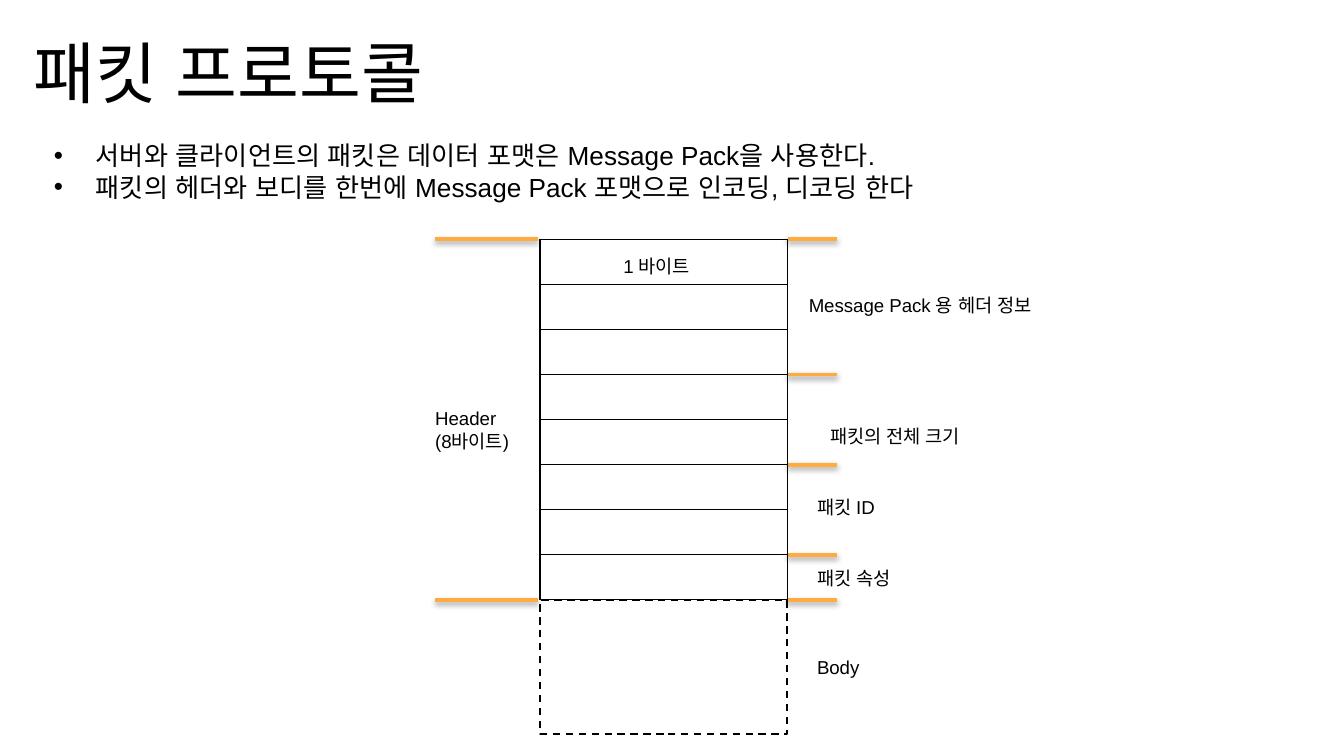
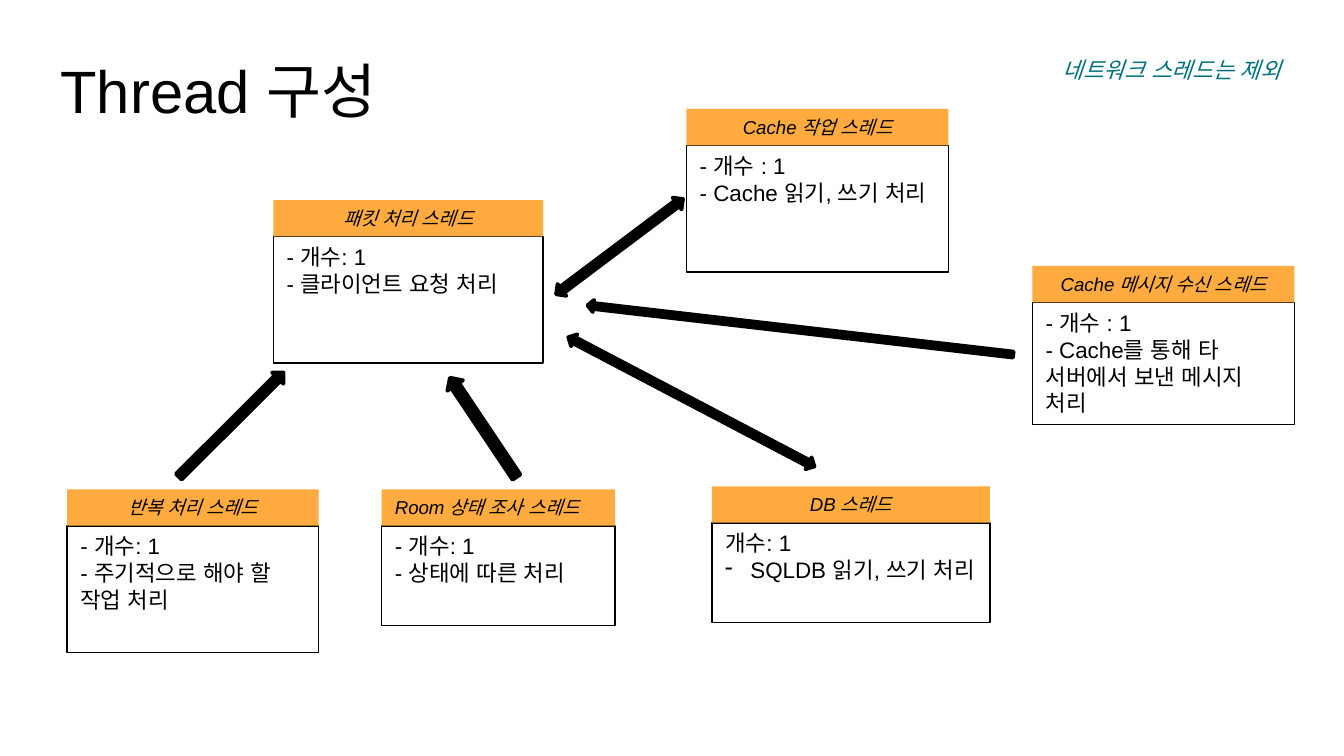
from typing import NamedTuple

from pptx import Presentation
from pptx.dml.color import RGBColor
from pptx.enum.dml import MSO_LINE
from pptx.enum.shapes import MSO_CONNECTOR, MSO_SHAPE as SHAPE
from pptx.enum.text import MSO_ANCHOR, MSO_AUTO_SIZE, PP_ALIGN as ALIGN
from pptx.oxml import parse_xml
from pptx.oxml.ns import nsdecls
from pptx.util import Pt

BLACK, ORANGE, TEAL = "000000", "FFAB40", "00717D"
FONT = "Arial"
FRAME = dict(word_wrap=True, auto_size=MSO_AUTO_SIZE.NONE,
             vertical_anchor=MSO_ANCHOR.TOP,
             margin_left=Pt(7.2), margin_right=Pt(7.2),
             margin_top=Pt(3.6), margin_bottom=Pt(3.6))
SHADOW = (f'<a:effectLst {nsdecls("a")}>'
          '<a:outerShdw blurRad="39370" dist="20320" dir="5400000" rotWithShape="0">'
          '<a:srgbClr val="000000"><a:alpha val="38000"/></a:srgbClr>'
          '</a:outerShdw></a:effectLst>')


class Box(NamedTuple):
    left: float
    top: float
    width: float
    height: float


class Para(NamedTuple):
    text: str
    bullet: str = ""
    indent: float = 0


class Label(NamedTuple):
    text: str
    box: Box


class Card(NamedTuple):
    title: str
    left: float
    top: float
    width: float
    body_height: float
    lines: list[Para]
    title_align: ALIGN = ALIGN.CENTER


class Arrow(NamedTuple):
    kind: SHAPE
    box: Box
    rotation: float


def rgb(color: str) -> RGBColor:
    return RGBColor.from_string(color)


def pts(box: Box) -> list[Pt]:
    return [Pt(v) for v in box]


def place(s, box: Box) -> None:
    s.left, s.top, s.width, s.height = pts(box)


def write(tf, paras: list[Para], size: float, color: str = BLACK,
          italic: bool = False, align: ALIGN = ALIGN.LEFT) -> None:
    for key, value in FRAME.items():
        setattr(tf, key, value)
    for i, para in enumerate(paras):
        p = tf.paragraphs[0] if i == 0 else tf.add_paragraph()
        p.alignment, p.space_before = align, Pt(0)
        if para.bullet:
            add_bullet(p, para)
        r = p.add_run()
        r.text = para.text
        for key, value in dict(name=FONT, size=Pt(size), italic=italic).items():
            setattr(r.font, key, value)
        r.font.color.rgb = rgb(color)
        r.font._element.append(parse_xml(f'<a:ea {nsdecls("a")} typeface="{FONT}"/>'))


def add_bullet(p, para: Para) -> None:
    pPr = p._p.get_or_add_pPr()
    pPr.set("marL", str(int(Pt(para.indent))))
    pPr.set("indent", str(-int(Pt(para.indent))))
    ns = nsdecls("a")
    pPr.append(parse_xml(f'<a:buClr {ns}><a:srgbClr val="{BLACK}"/></a:buClr>'))
    pPr.append(parse_xml(f'<a:buChar {ns} char="{para.bullet}"/>'))


def add_titled_slide(prs, layout: int, title: str, box: Box, size: float):
    slide = prs.slides.add_slide(prs.slide_layouts[layout])
    place(slide.shapes.title, box)
    write(slide.shapes.title.text_frame, [Para(title)], size)
    return slide


def add_label(slide, label: Label, size: float = 10, **style) -> None:
    s = slide.shapes.add_textbox(*pts(label.box))
    write(s.text_frame, [Para(label.text)], size, **style)


def add_shape(shapes, kind: SHAPE, box: Box, fill: str = "", line: str = "",
              weight: float = 1):
    s = shapes.add_shape(kind, *pts(box))
    s.shadow.inherit = False
    for part, color in ((s.fill, fill), (s.line.fill, line)):
        if color:
            part.solid()
            part.fore_color.rgb = rgb(color)
        else:
            part.background()
    if line:
        s.line.width = Pt(weight)
    return s


def add_tick(slide, x1: float, x2: float, y: float) -> None:
    c = slide.shapes.add_connector(MSO_CONNECTOR.STRAIGHT, Pt(x1), Pt(y), Pt(x2), Pt(y))
    c.line.color.rgb = rgb(ORANGE)
    c.line.width = Pt(2)
    c._element.spPr.append(parse_xml(SHADOW))


def add_byte_table(slide, box: Box, rows: int) -> None:
    table = slide.shapes.add_table(rows, 1, *pts(box)).table
    table.first_row = table.horz_banding = False
    for row in table.rows:
        row.height = Pt(box.height / rows)
        cell = row.cells[0]
        cell.margin_top = cell.margin_bottom = Pt(0)
        tcPr = cell._tc.get_or_add_tcPr()
        for side in ("lnL", "lnR", "lnT", "lnB"):
            tcPr.append(parse_xml(
                f'<a:{side} {nsdecls("a")} w="12700"><a:solidFill>'
                f'<a:srgbClr val="{BLACK}"/></a:solidFill></a:{side}>'))
        cell.fill.background()


def add_card(slide, card: Card) -> None:
    group = slide.shapes.add_group_shape()
    body = add_shape(group.shapes, SHAPE.RECTANGLE,
                     Box(card.left, card.top + HEAD_H, card.width, card.body_height),
                     line=BLACK, weight=0.75)
    write(body.text_frame, card.lines, 12)
    head = add_shape(group.shapes, SHAPE.RECTANGLE,
                     Box(card.left, card.top, card.width, HEAD_H), fill=ORANGE)
    write(head.text_frame, [Para(card.title)], 10, italic=True, align=card.title_align)


# Packet layout
ROWS, ROW_H = 8, 24.15
PACKET = Box(289.4, 128.2, 132.5, ROWS * ROW_H)
PACKET_RIGHT = PACKET.left + PACKET.width
PACKET_BOTTOM = PACKET.top + PACKET.height
FIELD_EDGES = (0, 3, 5, 7, 8)
HEADER_EDGES = (0, 8)
PACKET_POINTS = [
    "서버와 클라이언트의 패킷은 데이터 포맷은 Message Pack을 사용한다.",
    "패킷의 헤더와 보디를 한번에 Message Pack 포맷으로 인코딩, 디코딩 한다",
]
PACKET_LABELS = [
    Label("1 바이트", Box(326.9, 133.2, 56.2, 19.4)),
    Label("Header (8바이트)", Box(226.1, 214.6, 54.7, 31.7)),
    Label("Message Pack 용 헤더 정보", Box(426.2, 154.1, 144.7, 19.4)),
    Label("패킷의 전체 크기", Box(437.8, 223.9, 144.7, 19.4)),
    Label("패킷 ID", Box(430.6, 262.1, 144.7, 19.4)),
    Label("패킷 속성", Box(430.6, 300.2, 144.7, 19.4)),
    Label("Body", Box(430.6, 347.8, 144.7, 19.4)),
]

# Thread layout
HEAD_H = 19.5
CARDS = [
    Card("패킷 처리 스레드", 146.4, 107.2, 144.6, 67.9,
         [Para("- 개수: 1"), Para("- 클라이언트 요청 처리")]),
    Card("Cache 작업 스레드", 367.7, 58.4, 140.4, 67.9,
         [Para("- 개수 : 1"), Para("- Cache 읽기, 쓰기 처리")]),
    Card("DB 스레드", 381.4, 260.6, 148.9, 53.5,
         [Para("개수: 1"), Para("SQLDB 읽기, 쓰기 처리", "-", 13.5)]),
    Card("반복 처리 스레드", 36, 262.2, 134.7, 67.9,
         [Para("- 개수: 1"), Para("- 주기적으로 해야 할 작업 처리")]),
    Card("Room 상태 조사 스레드", 204.5, 262.2, 125, 53.5,
         [Para("- 개수: 1"), Para("- 상태에 따른 처리")], ALIGN.LEFT),
    Card("Cache 메시지 수신 스레드", 553, 142.5, 140.4, 65.3,
         [Para("- 개수 : 1"), Para("- Cache를 통해 타 서버에서 보낸 메시지 처리")]),
]
ARROWS = [
    Arrow(SHAPE.LEFT_RIGHT_ARROW, Box(289.4, 128.2, 85, 7.9), 323.1),
    Arrow(SHAPE.RIGHT_ARROW, Box(313.9, 173.5, 229.7, 6.5), 186.6),
    Arrow(SHAPE.LEFT_RIGHT_ARROW, Box(295.9, 211.7, 149, 7.2), 27.7),
    Arrow(SHAPE.RIGHT_ARROW, Box(84.2, 223.2, 79.2, 8.6), 315.1),
    Arrow(SHAPE.RIGHT_ARROW, Box(226.8, 223.9, 64.1, 10.1), 236.2),
]


def build_packet_slide(prs) -> None:
    slide = add_titled_slide(prs, 1, "패킷 프로토콜", Box(10.8, 13, 325.4, 51), 36)
    body = slide.placeholders[1]
    place(body, Box(21.6, 71.3, 630.7, 41))
    write(body.text_frame, [Para(t, "•", 22.5) for t in PACKET_POINTS], 14)
    add_byte_table(slide, PACKET, ROWS)
    s = add_shape(slide.shapes, SHAPE.RECTANGLE,
                  Box(PACKET.left, PACKET_BOTTOM, PACKET.width, 72), line=BLACK)
    s.line.dash_style = MSO_LINE.DASH
    for x1, x2, edges in ((PACKET_RIGHT, 448.6, FIELD_EDGES), (233.3, 288, HEADER_EDGES)):
        for row in edges:
            add_tick(slide, x1, x2, PACKET.top + row * ROW_H)
    for label in PACKET_LABELS:
        add_label(slide, label)


def build_thread_slide(prs) -> None:
    slide = add_titled_slide(prs, 5, "Thread 구성", Box(25.2, 25.2, 223.2, 46), 32)
    for card in CARDS:
        add_card(slide, card)
    for arrow in ARROWS:
        s = add_shape(slide.shapes, arrow.kind, arrow.box, BLACK, BLACK, 2)
        s.rotation = arrow.rotation
    add_label(slide, Label("네트워크 스레드는 제외", Box(562.3, 26.6, 149, 21.6)),
              12, color=TEAL, italic=True)


def main() -> None:
    prs = Presentation()
    prs.slide_width, prs.slide_height = Pt(720), Pt(405)
    build_packet_slide(prs)
    build_thread_slide(prs)
    prs.save("out.pptx")


if __name__ == "__main__":
    main()
